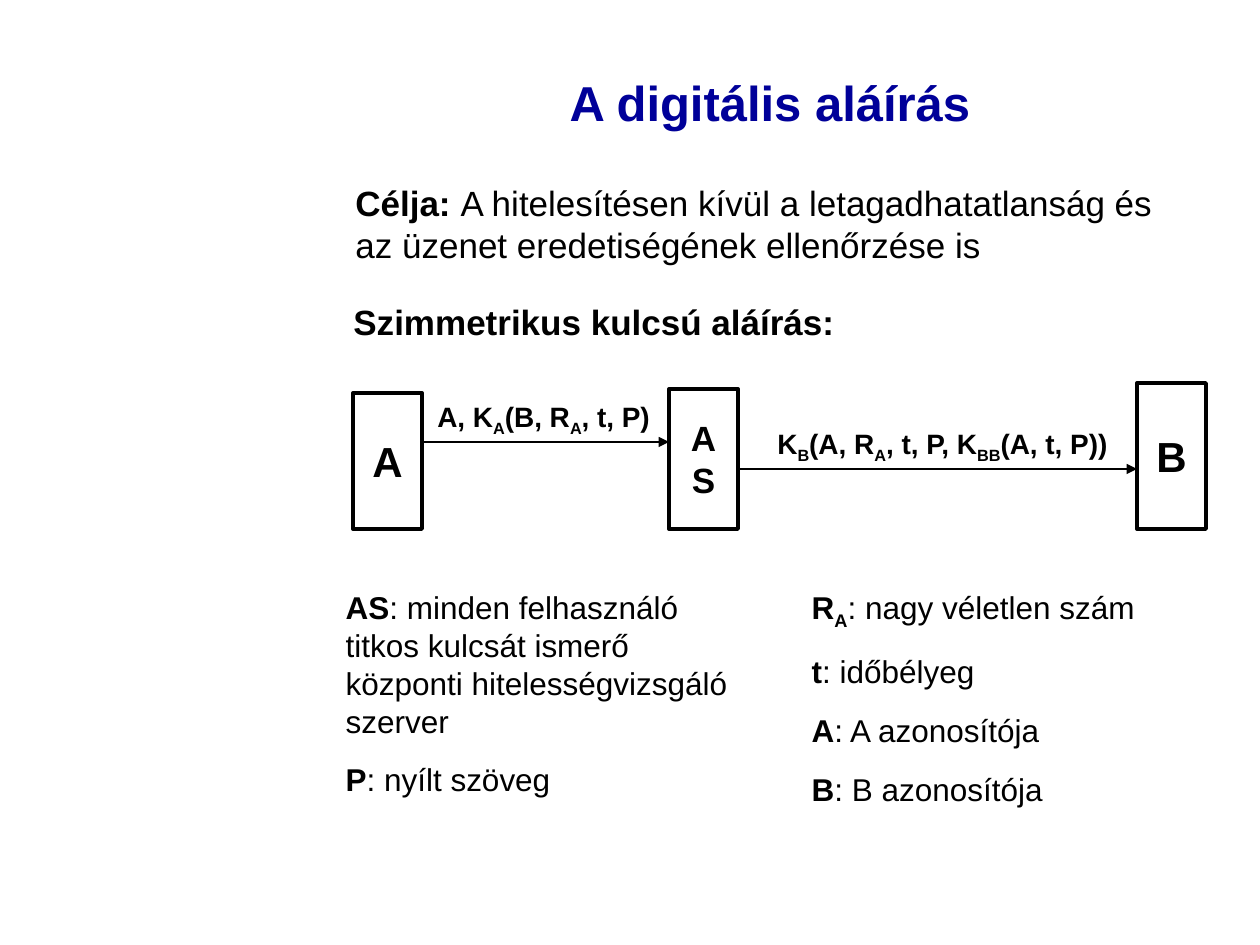
from pptx import Presentation
from pptx.dml.color import RGBColor
from pptx.enum.shapes import MSO_CONNECTOR, MSO_SHAPE
from pptx.enum.text import MSO_ANCHOR, MSO_AUTO_SIZE, PP_ALIGN
from pptx.oxml.ns import qn
from pptx.util import Emu, Pt
from lxml.etree import SubElement

PX = 914400 / 126
THEME = {
    "font": "Arial", "title_color": RGBColor(0, 0, 0x99), "ink": RGBColor(0, 0, 0),
    "title": 28, "party": 24, "text": 20, "list": 18, "message": 16,
    "outline": 2.25, "arrow": 0.75, "gap": 12,
}
BOLD, SUB, PLAIN = "bold", "subscript", "plain"

# Content: a paragraph is a list of (text, style); places are left, top, width, height
TITLE = ([[("A digitális aláírás", BOLD)]], (343, 38, 854, 127))
PURPOSE = ([[("Célja: ", BOLD),
             ("A hitelesítésen kívül a letagadhatatlanság és az üzenet "
              "eredetiségének ellenőrzése is", PLAIN)]], (343, 175, 843, 97))
HEADING = ([[("Szimmetrikus kulcsú aláírás:", BOLD)]], (341, 294, 507, 55))
PARTIES = [  # letters, left, top, size
    ("A", 353, 393, "party"),
    ("AS", 669, 389, "text"),
    ("B", 1137, 383, "party"),
]
PARTY_WIDTH, PARTY_BOTTOM = 69, 529
MESSAGES = [  # runs, label place, height of the arrow on the page
    ([("A, K", BOLD), ("A", SUB), ("(B, R", BOLD), ("A", SUB), (", t, P)", BOLD)],
     (425, 393, 238, 52), 442),
    ([("K", BOLD), ("B", SUB), ("(A, R", BOLD), ("A", SUB), (", t, P, K", BOLD),
      ("BB", SUB), ("(A, t, P))", BOLD)], (765, 420, 359, 52), 469),
]
GLOSSARY = [
    ([[("AS", BOLD), (": minden felhasználó titkos kulcsát ismerő központi "
                      "hitelességvizsgáló szerver", PLAIN)],
      [("P", BOLD), (": nyílt szöveg", PLAIN)]], (333, 582, 407, 223)),
    ([[("R", BOLD), ("A", SUB), (": nagy véletlen szám", PLAIN)],
      [("t", BOLD), (": időbélyeg", PLAIN)],
      [("A", BOLD), (": A azonosítója", PLAIN)],
      [("B", BOLD), (": B azonosítója", PLAIN)]], (799, 582, 417, 232)),
]


def emu(*lengths):
    return [Emu(round(length * PX)) for length in lengths]


def write(shape, paragraphs, size, color="ink", align=PP_ALIGN.LEFT, gap=0, wrap=True):
    frame = shape.text_frame
    frame.word_wrap = wrap
    frame.auto_size = MSO_AUTO_SIZE.NONE
    for index, runs in enumerate(paragraphs):
        para = frame.paragraphs[0] if index == 0 else frame.add_paragraph()
        para.alignment = align
        para.space_before = Pt(gap if index else 0)
        para.font.name = THEME["font"]
        para.font.size = Pt(THEME[size])
        para.font.color.rgb = THEME[color]
        for text, style in runs:
            span = para.add_run()
            span.text = text
            span.font.bold = style != PLAIN
            if style == SUB:
                span.font._element.set("baseline", "-25000")


def fill_placeholder(shape, content, size, **options):
    paragraphs, place = content
    shape.left, shape.top, shape.width, shape.height = emu(*place)
    write(shape, paragraphs, size, **options)


def add_text(page, paragraphs, place, size, wrap=True):
    write(page.shapes.add_textbox(*emu(*place)), paragraphs, size, wrap=wrap)


def add_party(page, letters, left, top, size):
    box = page.shapes.add_shape(
        MSO_SHAPE.RECTANGLE, *emu(left, top, PARTY_WIDTH, PARTY_BOTTOM - top))
    box.shadow.inherit = False
    box.fill.background()
    box.line.color.rgb = THEME["ink"]
    box.line.width = Pt(THEME["outline"])
    box.text_frame.vertical_anchor = MSO_ANCHOR.MIDDLE
    write(box, [[(letter, BOLD)] for letter in letters], size,
          align=PP_ALIGN.CENTER, wrap=False)


def add_arrow(page, start, end, level):
    arrow = page.shapes.add_connector(
        MSO_CONNECTOR.STRAIGHT, *emu(start, level, end, level))
    arrow.line.color.rgb = THEME["ink"]
    arrow.line.width = Pt(THEME["arrow"])
    SubElement(arrow.line._get_or_add_ln(), qn("a:tailEnd"), type="triangle")
    SubElement(arrow._element.spPr, qn("a:effectLst"))


def main():
    deck = Presentation()
    deck.slide_width, deck.slide_height = emu(1260, 945)
    page = deck.slides.add_slide(deck.slide_layouts[3])  # title and two lists

    # Title and introduction
    fill_placeholder(page.shapes.title, TITLE, "title",
                     color="title_color", align=PP_ALIGN.CENTER)
    add_text(page, *PURPOSE, "text")
    add_text(page, *HEADING, "text", wrap=False)

    # Parties, with each message running from one to the next
    for party in PARTIES:
        add_party(page, *party)
    for sender, receiver, (runs, place, level) in zip(PARTIES, PARTIES[1:], MESSAGES):
        add_arrow(page, sender[1] + PARTY_WIDTH, receiver[1], level)
        add_text(page, [runs], place, "message", wrap=False)

    # Glossary in two columns, without bullets
    for index, column in enumerate(GLOSSARY, start=1):
        body = page.placeholders[index]
        fill_placeholder(body, column, "list", gap=THEME["gap"])
        for para in body.text_frame.paragraphs:
            properties = para._p.get_or_add_pPr()
            properties.set("marL", "0")
            properties.set("indent", "0")
            properties.insert_element_before(
                properties.makeelement(qn("a:buNone")), "a:tabLst", "a:defRPr")

    deck.save("out.pptx")


if __name__ == "__main__":
    main()
